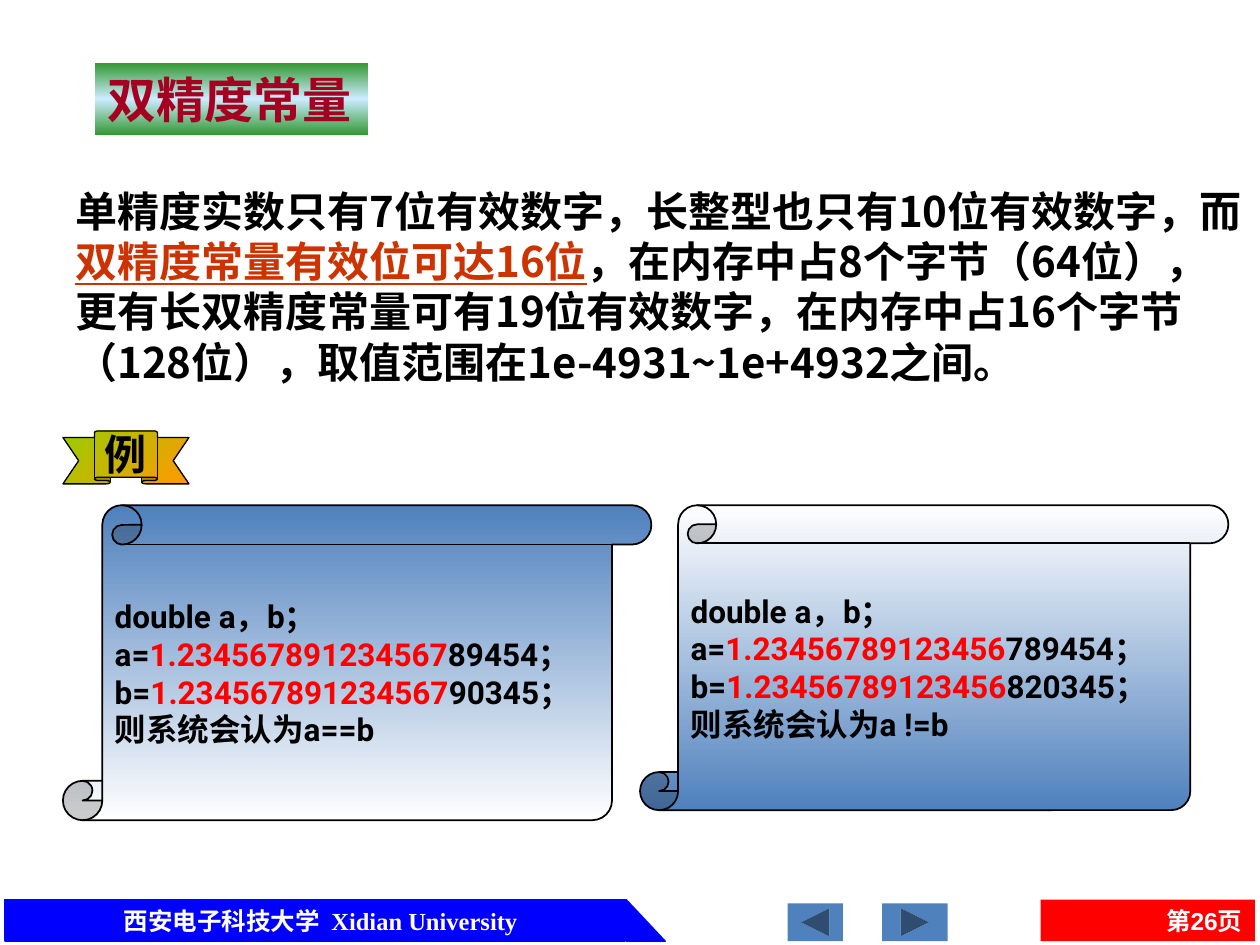
"""Build the double-precision constants slide."""
from lxml import etree
from pptx import Presentation
from pptx import util as u
from pptx.dml.color import RGBColor
from pptx.enum import shapes, text
from pptx.oxml.ns import qn

THEME = {
    "black": "000000", "white": "FFFFFF", "red": "FF0000", "blue": "0000FF",
    "steel": "4F81BD", "title": "A50021", "accent": "CC3300",
    "green": "339933", "sky": "CCECFF", "lime": "99CC00", "orange": "FF9900",
    "serif": "Times New Roman", "sans": "Arial", "code": "Roboto",
    "cjk": "Noto Sans CJK SC",
    "title_size": 28, "body_size": 24, "code_size": 18, "footer_size": 14,
}
SHAPE = shapes.MSO_SHAPE
ALIGN = text.PP_ALIGN
ANCHOR = text.MSO_ANCHOR

TITLE = "双精度常量"
BODY = [[
    ("单精度实数只有7位有效数字，长整型也只有10位有效数字，而", "black"),
    ("双精度常量有效位可达16位", "accent"),
    ("，在内存中占8个字节（64位），更有长双精度常量可有19位有效数字，"
     "在内存中占16个字节（128位），取值范围在1e-4931~1e+4932之间。", "black"),
]]
EXAMPLES = [
    {"box": (0.5, 4.01, 4.67, 2.5), "colors": ("steel", "white"),
     "same": "1.234567891234567", "tails": ("89454；", "90345；"),
     "result": "则系统会认为a==b"},
    {"box": (5.08, 4.01, 4.67, 2.42), "colors": ("white", "steel"),
     "same": "1.23456789123456", "tails": ("789454；", "820345；"),
     "result": "则系统会认为a !=b"},
]
FOOTER_SHAPES = [
    (SHAPE.RECTANGLE, (0.04, 7.14, 4.92, 0.33), "blue", True, 0),
    (SHAPE.RIGHT_TRIANGLE, (4.97, 7.14, 0.31, 0.33), "blue", True, 0),
    (SHAPE.ACTION_BUTTON_FORWARD_OR_NEXT, (7, 7.17, 0.52, 0.3), "steel", False, 0),
    (SHAPE.ACTION_BUTTON_FORWARD_OR_NEXT, (6.25, 7.17, 0.44, 0.3), "steel", False, 180),
]


def rgb(name):
    """Return a theme colour."""
    return RGBColor.from_string(THEME[name])


def inches(box):
    """Convert a box to lengths."""
    return [u.Inches(v) for v in box]


def add_shape(s, kind, box, fill=None, line=None, width=0.75):
    """Add a preset shape without a shadow."""
    sp = s.shapes.add_shape(kind, *inches(box))
    sp.shadow.inherit = False
    if fill:
        sp.fill.solid()
        sp.fill.fore_color.rgb = rgb(fill)
    if line:
        sp.line.color.rgb = rgb(line)
        sp.line.width = u.Pt(width)
    else:
        sp.line.fill.background()
    return sp


def set_gradient(sp, colors, angle=90):
    """Fill a shape with evenly spaced gradient stops."""
    sp.fill.gradient()
    sp.fill.gradient_angle = 360 - angle
    stops = sp._element.spPr.find(qn("a:gradFill")).find(qn("a:gsLst"))
    for stop in list(stops):
        stops.remove(stop)
    for i, color in enumerate(colors):
        gs = etree.SubElement(stops, qn("a:gs"), pos=str(i * 100000 // (len(colors) - 1)))
        etree.SubElement(gs, qn("a:srgbClr"), val=THEME[color])


def write(sp, paragraphs, font, size, align=ALIGN.LEFT, anchor=ANCHOR.MIDDLE, wrap=True):
    """Write paragraphs of (text, colour) runs in bold."""
    tf = sp.text_frame
    tf.word_wrap = wrap
    tf.vertical_anchor = anchor
    for i, runs in enumerate(paragraphs):
        p = tf.paragraphs[0] if i == 0 else tf.add_paragraph()
        p.alignment = align
        for words, color in runs:
            r = p.add_run()
            r.text = words
            r.font.name = THEME[font]
            r.font.size = u.Pt(THEME[size])
            r.font.bold = True
            r.font.color.rgb = rgb(color)
            if color == "accent":
                r.font.underline = True
            etree.SubElement(r.font._element, qn("a:ea"), typeface=THEME["cjk"])


def add_footer(s):
    """Add the footer bar, buttons and page number."""
    for kind, box, fill, outlined, rotation in FOOTER_SHAPES:
        sp = add_shape(s, kind, box, fill, fill if outlined else None)
        sp.rotation = rotation
    school = s.shapes.add_textbox(*inches((0.33, 7.14, 4.43, 0.33)))
    write(school, [[("西安电子科技大学  Xidian University", "white")]],
          "serif", "footer_size", ALIGN.CENTER)
    page = add_shape(s, SHAPE.RECTANGLE, (8.26, 7.14, 1.7, 0.33), "red")
    write(page, [[("第26页", "white")]], "sans", "footer_size", ALIGN.RIGHT)


def add_example(s, box, colors, same, tails, result):
    """Add a scroll that compares two constants."""
    sp = add_shape(s, SHAPE.VERTICAL_SCROLL, box, line="black", width=1)
    set_gradient(sp, colors)
    values = [[(f"{name}=", "black"), (same, "red"), (tail, "black")]
              for name, tail in zip("ab", tails)]
    write(sp, [[("double a，b；", "black")], *values, [(result, "black")]],
          "code", "code_size")


def main():
    """Build and save the slide."""
    prs = Presentation()
    prs.slide_width, prs.slide_height = u.Inches(10), u.Inches(7.5)
    s = prs.slides.add_slide(prs.slide_layouts[5])
    add_footer(s)

    title = s.shapes.title
    title.left, title.top, title.width, title.height = inches((0.75, 0.5, 2.17, 0.57))
    set_gradient(title, ("green", "sky", "green"))
    write(title, [[(TITLE, "title")]], "serif", "title_size", wrap=False)

    body = s.shapes.add_textbox(*inches((0.5, 1.42, 9.5, 1.72)))
    write(body, BODY, "cjk", "body_size", anchor=ANCHOR.TOP)

    ribbon = add_shape(s, SHAPE.UP_RIBBON, (0.5, 3.42, 1, 0.42), line="black")
    ribbon.adjustments[0], ribbon.adjustments[1] = 0.125, 0.5
    set_gradient(ribbon, ("lime", "orange"), 45)
    write(ribbon, [[("例", "black")]], "code", "body_size", ALIGN.CENTER, wrap=False)

    for example in EXAMPLES:
        add_example(s, **example)
    prs.save("out.pptx")


if __name__ == "__main__":
    main()
